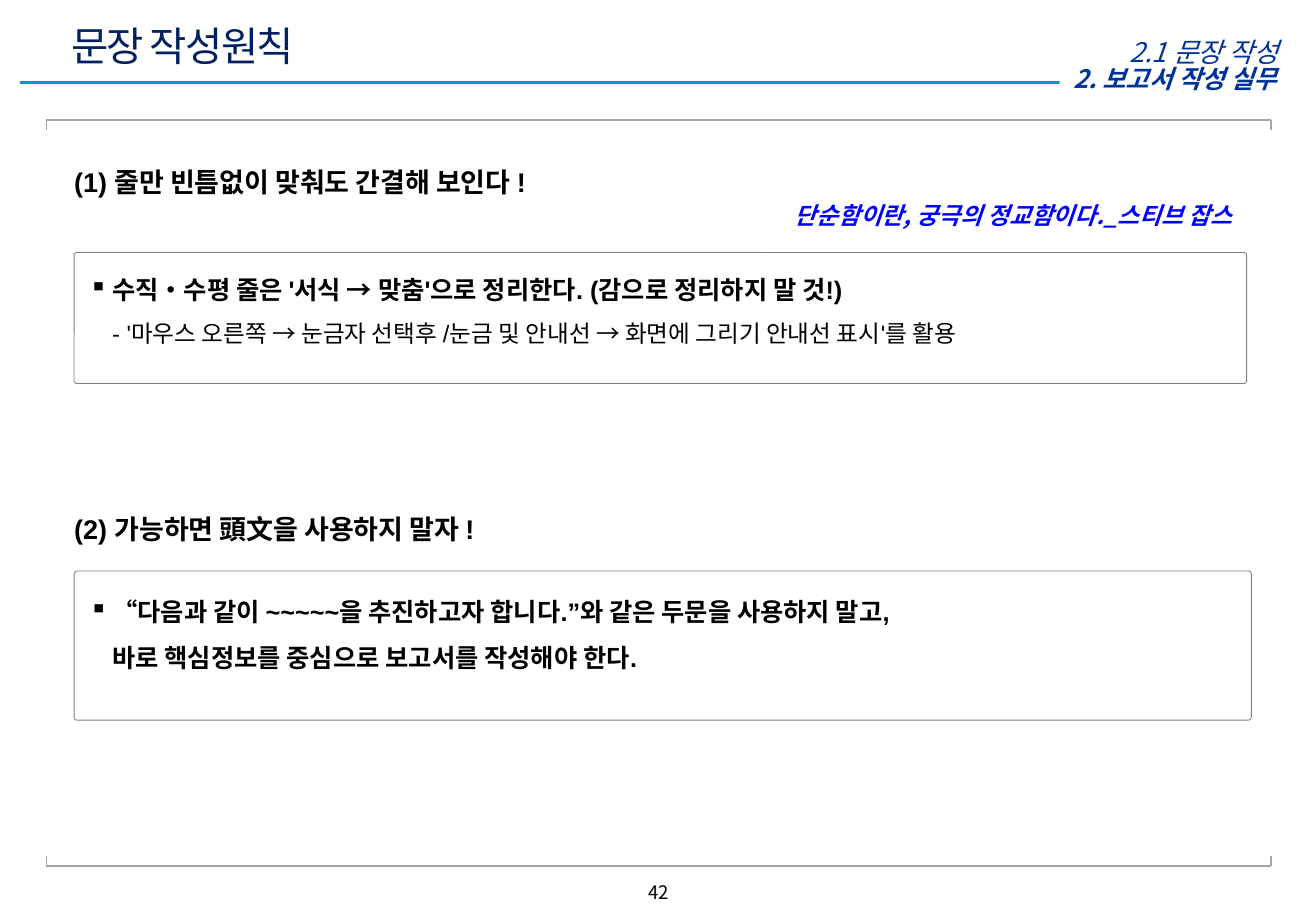
import copy

import lxml.etree
import pptx
import pptx.dml.color
import pptx.enum.shapes
import pptx.enum.text
import pptx.oxml.ns
import pptx.util

Cm = pptx.util.Cm
Pt = pptx.util.Pt
Align = pptx.enum.text.PP_ALIGN
Anchor = pptx.enum.text.MSO_ANCHOR
Shape = pptx.enum.shapes.MSO_SHAPE
qn = pptx.oxml.ns.qn

HANGUL = "Noto Sans CJK KR"
LATIN = "Arial"
BLACK, WHITE, NAVY, BLUE = "000000", "FFFFFF", "002060", "003399"
QUOTE_BLUE, RULE_BLUE, FRAME_GREY, BOX_GREY = "0000FF", "188DD0", "A6A6A6", "808080"


def colour(hex_text):
    return pptx.dml.color.RGBColor.from_string(hex_text)


def write(shape, *lines, size, font=HANGUL, color=BLACK, bold=False, italic=False,
          align=Align.LEFT, anchor=Anchor.TOP, insets=(0.25, 0.13, 0.25, 0.13),
          wrap=True, hanging=0, bullet=None, spacing=None, tracking=None):
    frame = shape.text_frame
    frame.auto_size = pptx.enum.text.MSO_AUTO_SIZE.NONE
    frame.word_wrap = wrap
    frame.vertical_anchor = anchor
    (frame.margin_left, frame.margin_top,
     frame.margin_right, frame.margin_bottom) = map(Cm, insets)
    paragraph = frame.paragraphs[0]
    paragraph.alignment = align
    if spacing:
        paragraph.line_spacing = spacing
    properties = paragraph._p.get_or_add_pPr()
    if hanging:
        properties.set("marL", str(Cm(hanging)))
        properties.set("indent", str(-Cm(hanging)))
    if bullet:
        lxml.etree.SubElement(properties, qn("a:buChar")).set("char", bullet)
    for number, line in enumerate(lines):
        text, changes = line if isinstance(line, tuple) else (line, {})
        if number:
            paragraph.add_line_break()
            paragraph._p[-1].append(copy.deepcopy(run._r.rPr))
        run = paragraph.add_run()
        run.text = text
        run.font.name = font
        run.font.size = Pt(changes.get("size", size))
        run.font.bold = changes.get("bold", bold)
        run.font.italic = italic
        run.font.color.rgb = colour(color)
        lxml.etree.SubElement(run._r.rPr, qn("a:ea")).set("typeface", HANGUL)
        if tracking:
            run._r.rPr.set("spc", str(tracking))


class Page:
    """Hold the style and the current slide, and add its elements."""

    def __init__(self, deck):
        self.slide = deck.slides.add_slide(deck.slide_layouts[5])
        self.shapes = self.slide.shapes

    def title(self, text, left, top, width, height):
        title = self.shapes.title
        title.left, title.top, title.width, title.height = map(Cm, (left, top, width, height))
        write(title, text, size=24, color=NAVY, anchor=Anchor.MIDDLE, tracking=-100)

    def line(self, x1, y1, x2, y2, color, width):
        line = self.shapes.add_connector(
            pptx.enum.shapes.MSO_CONNECTOR.STRAIGHT, *map(Cm, (x1, y1, x2, y2)))
        line.line.color.rgb = colour(color)
        line.line.width = Pt(width)
        lxml.etree.SubElement(line._element.spPr, qn("a:effectLst"))

    def bracket(self, y, tick_y, left=0.97, right=26.57):
        self.line(left, y, right, y, FRAME_GREY, 0.75)
        for x in (left, right):
            self.line(x, y, x, tick_y, FRAME_GREY, 0.75)

    def text(self, text, left, top, width, height, **style):
        write(self.shapes.add_textbox(*map(Cm, (left, top, width, height))), text, **style)

    def heading(self, text, top):
        self.text(text, 1.3, top, 24.05, 1.19, size=16, font=LATIN, bold=True,
                  anchor=Anchor.MIDDLE, hanging=0.48)

    def block(self, kind, left, top, width, height):
        block = self.shapes.add_shape(kind, *map(Cm, (left, top, width, height)))
        block.shadow.inherit = False
        return block

    def label(self, text, left, top, width, height):
        label = self.block(Shape.RECTANGLE, left, top, width, height)
        label.fill.solid()
        label.fill.fore_color.rgb = colour(WHITE)
        label.line.fill.background()
        write(label, text, size=15, color=BLUE, bold=True, italic=True, wrap=False,
              align=Align.CENTER, anchor=Anchor.MIDDLE, insets=(0.1, 0.13, 0.25, 0.13))

    def box(self, lines, top, width, height, inset):
        box = self.block(Shape.ROUNDED_RECTANGLE, 1.55, top, width, height)
        box.adjustments[0] = 0.02
        box.fill.background()
        box.line.color.rgb = colour(BOX_GREY)
        box.line.width = Pt(0.5)
        write(box, *lines, size=15, font=LATIN, bold=True, hanging=0.48, bullet="▪",
              spacing=1.5, insets=(0.3, inset, 0, inset))


def main():
    deck = pptx.Presentation()
    deck.slide_width, deck.slide_height = Cm(27.51), Cm(19.05)
    page = Page(deck)

    page.line(0.41, 1.73, 26.9, 1.73, RULE_BLUE, 2)
    page.label("2. 보고서 작성 실무", 22.15, 1.32, 5, 0.64)
    page.title("문장 작성원칙", 1.24, 0.48, 16.2, 0.94)
    page.text("2.1 문장 작성", 18.16, 0.61, 8.81, 0.76,
              size=16, color=BLUE, italic=True, align=Align.RIGHT)
    page.bracket(2.51, 2.72)
    page.bracket(18.11, 17.9)

    page.heading("(1) 줄만 빈틈없이 맞춰도 간결해 보인다 !", 3.2)
    page.text("단순함이란, 궁극의 정교함이다._스티브 잡스", 15.39, 3.91, 10.62, 1.19,
              size=14, color=QUOTE_BLUE, bold=True, italic=True,
              align=Align.RIGHT, anchor=Anchor.MIDDLE, hanging=0.48)
    page.box(["수직•수평 줄은 '서식 → 맞춤'으로 정리한다. (감으로 정리하지 말 것!)",
              ("- '마우스 오른쪽 → 눈금자 선택후 /눈금 및 안내선 → 화면에 그리기 안내선 표시'를 활용",
               {"size": 14, "bold": False})],
             5.28, 24.51, 2.74, 0.13)

    page.heading("(2) 가능하면 頭文을 사용하지 말자 !", 10.46)
    page.box(["“다음과 같이 ~~~~~을 추진하고자 합니다.”와 같은 두문을 사용하지 말고,",
              "바로 핵심정보를 중심으로 보고서를 작성해야 한다."],
             11.94, 24.61, 3.12, 0.2)

    page.text("42", 11.15, 18.29, 5.23, 0.64, size=11, align=Align.CENTER)
    deck.save("out.pptx")


if __name__ == "__main__":
    main()
